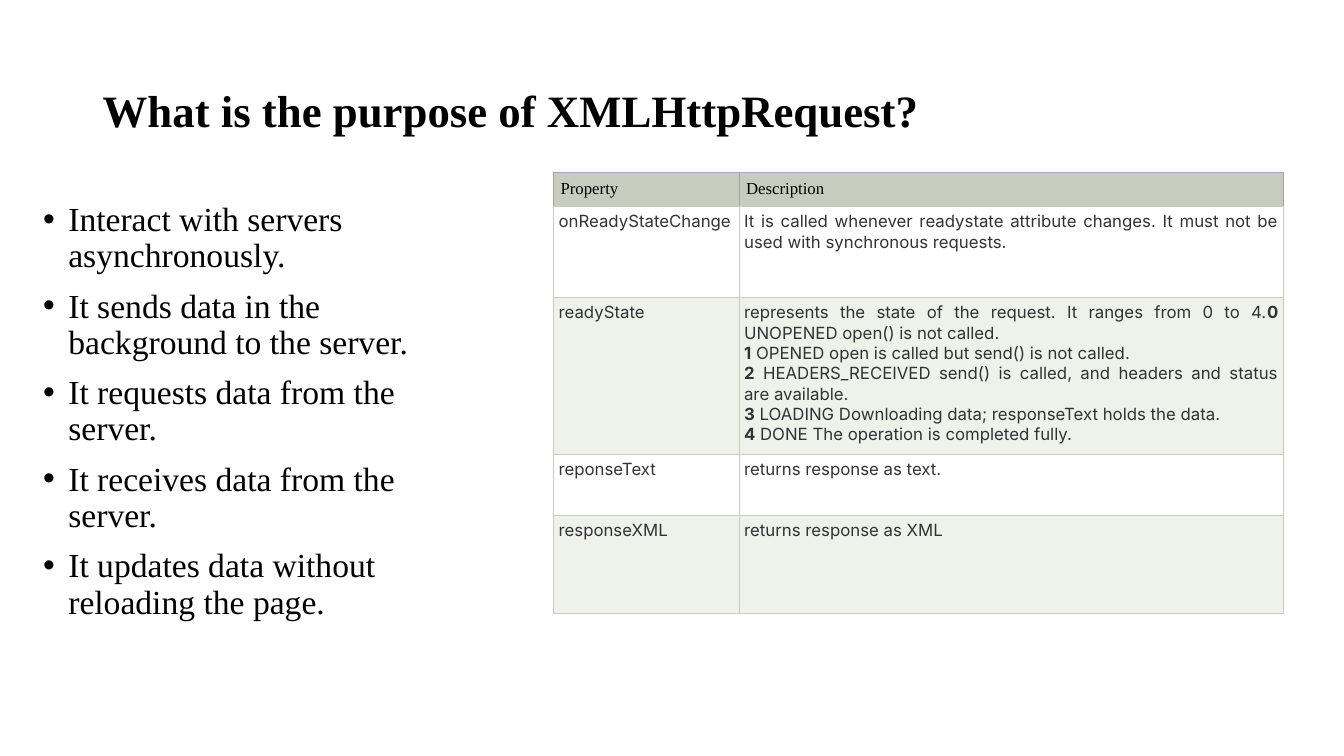
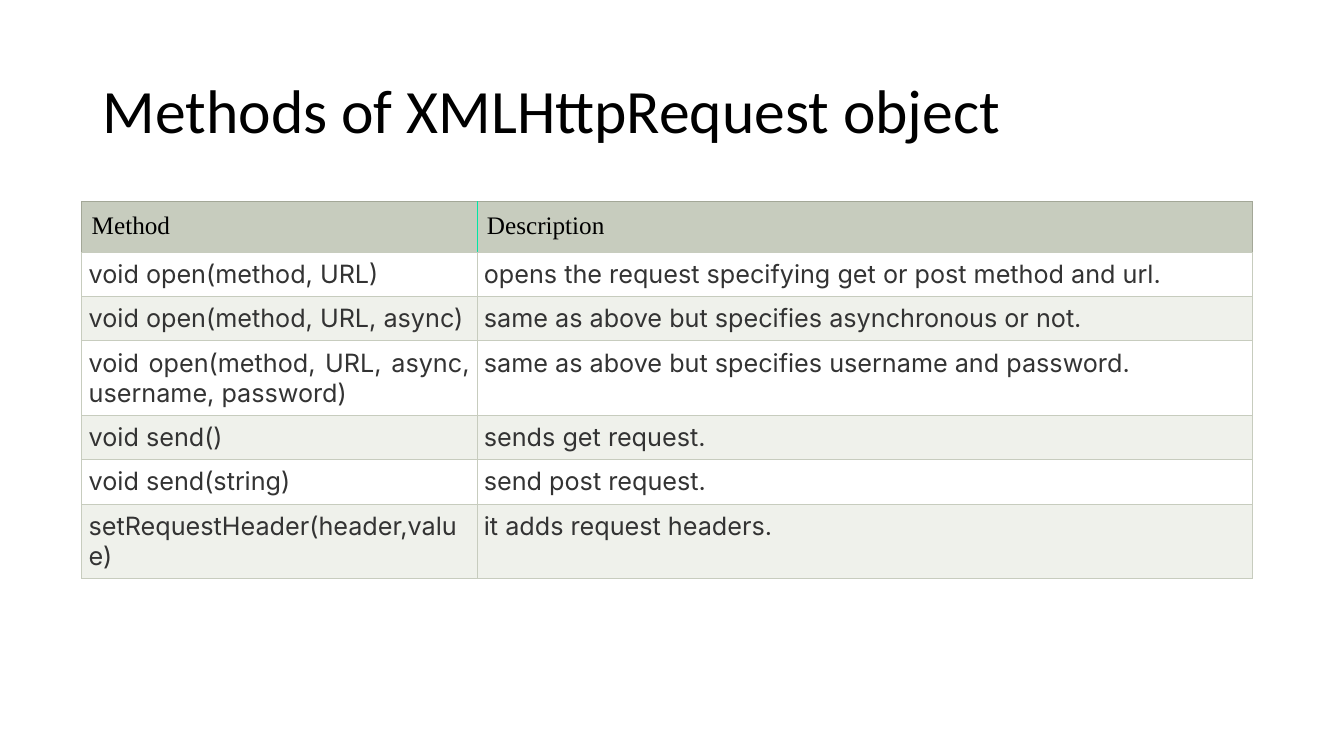
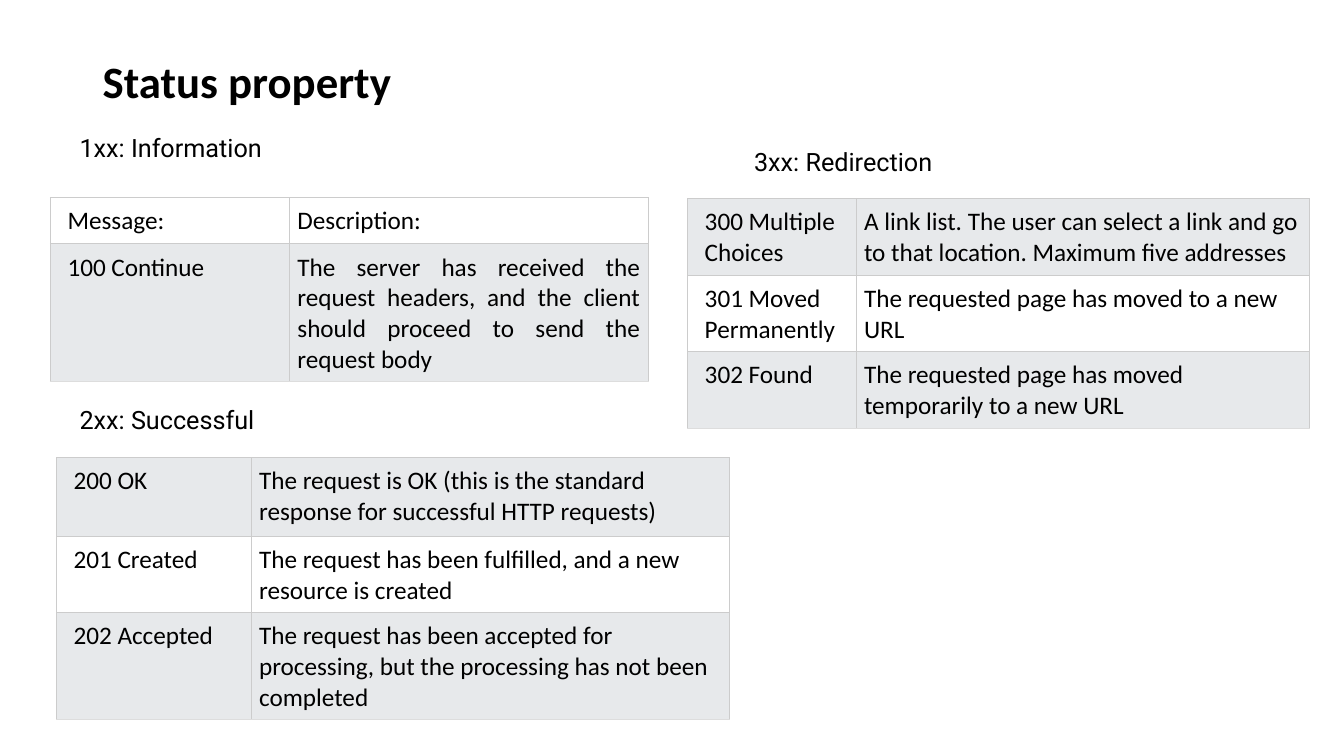
from dataclasses import dataclass, field
from typing import Optional

from lxml.etree import SubElement
from pptx import Presentation
from pptx.dml.color import RGBColor
from pptx.enum.text import MSO_ANCHOR, PP_ALIGN
from pptx.oxml import parse_xml
from pptx.oxml.ns import nsdecls, qn
from pptx.util import Inches, Pt

BLACK, WHITE, INK = "000000", "FFFFFF", "333333"
SAGE, PALE_SAGE, DARK_SAGE = "C7CCBE", "EFF1EB", "A3A797"
GREY, PALE_GREY, LIGHT_LINE = "E7E9EB", "DDDDDD", "CCCCCC"
PURPLE, TEAL = "C092FE", "00E5A6"
SERIF, SANS, INTER, ROBOTO = "Times New Roman", "Calibri", "Inter", "Roboto"


@dataclass(frozen=True)
class Box:
    left: float
    top: float
    width: float
    height: float

    def lengths(self):
        return [Inches(v) for v in (self.left, self.top, self.width, self.height)]


@dataclass(frozen=True)
class Header:
    labels: tuple[str, str]
    inset: float
    top: str = DARK_SAGE
    divider: str = DARK_SAGE


@dataclass(frozen=True)
class Grid:
    left: float
    top: float
    columns: tuple[float, float]
    heights: tuple[float, ...]
    rows: tuple[tuple[str, str], ...]
    size: int
    font: str
    color: str
    fills: tuple[str, str]
    inset: float
    line: str
    line_width: float
    first_inset: Optional[float] = None
    last_line: Optional[str] = None
    justify: bool = False
    header: Optional[Header] = None


@dataclass(frozen=True)
class Title:
    text: str
    size: int
    font: str = SANS
    bold: bool = False
    box: Box = field(default=Box(0.92, 0.4, 11.5, 1.45))


def rgb(color: str) -> RGBColor:
    return RGBColor.from_string(color)


def write(frame, text: str, *, size: int, font: str, color: str = BLACK, bold: bool = False,
          align=PP_ALIGN.LEFT, spacing: float = 1.0, before: int = 0,
          bullet: str = "") -> None:
    frame.word_wrap = True
    for number, line in enumerate(text.split("\n")):
        paragraph = frame.add_paragraph() if number else frame.paragraphs[0]
        paragraph.alignment = align
        paragraph.line_spacing = spacing
        paragraph.space_before = Pt(before)
        if bullet:
            properties = paragraph._p.get_or_add_pPr()
            properties.set("marL", str(Inches(0.25)))
            properties.set("indent", str(-Inches(0.25)))
            SubElement(properties, qn("a:buFont")).set("typeface", "Arial")
            SubElement(properties, qn("a:buChar")).set("char", bullet)
        for part, words in enumerate(line.split("*")):
            if not words:
                continue
            run = paragraph.add_run()
            run.text = words
            run.font.size = Pt(size)
            run.font.name = font
            run.font.bold = bold or part % 2 == 1
            run.font.color.rgb = rgb(color)


def add_text(slide, box: Box, text: str, anchor=MSO_ANCHOR.TOP, **style) -> None:
    frame = slide.shapes.add_textbox(*box.lengths()).text_frame
    frame.vertical_anchor = anchor
    write(frame, text, **style)


def add_title(slide, title: Title) -> None:
    add_text(slide, title.box, title.text, MSO_ANCHOR.MIDDLE, size=title.size,
             font=title.font, bold=title.bold, spacing=0.9)


def set_borders(cell, width: float, colors: dict[str, str]) -> None:
    properties = cell._tc.get_or_add_tcPr()
    for place, side in enumerate("LRTB"):
        properties.insert(place, parse_xml(
            f'<a:ln{side} {nsdecls("a")} w="{Pt(width)}"><a:solidFill>'
            f'<a:srgbClr val="{colors[side]}"/></a:solidFill></a:ln{side}>'))


def fill_cell(cell, text: str, fill: str, inset: float, left_inset: float, **style) -> None:
    cell.fill.solid()
    cell.fill.fore_color.rgb = rgb(fill)
    cell.margin_left = Inches(left_inset)
    cell.margin_right = cell.margin_top = cell.margin_bottom = Inches(inset)
    write(cell.text_frame, text, **style)


def add_grid(slide, grid: Grid) -> None:
    box = Box(grid.left, grid.top, sum(grid.columns), sum(grid.heights))
    table = slide.shapes.add_table(len(grid.heights), 2, *box.lengths()).table
    table.first_row = table.horz_banding = False
    for column, width in zip(table.columns, grid.columns):
        column.width = Inches(width)
    for row, height in zip(table.rows, grid.heights):
        row.height = Inches(height)

    offset = 0
    if grid.header:
        offset = 1
        head = grid.header
        for column, label in enumerate(head.labels):
            cell = table.cell(0, column)
            fill_cell(cell, label, SAGE, head.inset, head.inset, size=grid.size, font=SERIF)
            set_borders(cell, grid.line_width, {
                "L": head.divider if column else DARK_SAGE,
                "R": DARK_SAGE if column else head.divider,
                "T": head.top, "B": grid.line})

    align = PP_ALIGN.JUSTIFY if grid.justify else PP_ALIGN.LEFT
    for number, texts in enumerate(grid.rows):
        last = number == len(grid.rows) - 1
        bottom = grid.last_line if last and grid.last_line else grid.line
        for column, text in enumerate(texts):
            cell = table.cell(number + offset, column)
            left_inset = grid.inset if column else grid.first_inset or grid.inset
            fill_cell(cell, text, grid.fills[number % 2], grid.inset, left_inset,
                      size=grid.size, font=grid.font, color=grid.color, align=align)
            set_borders(cell, grid.line_width, dict.fromkeys("LRT", grid.line) | {"B": bottom})


SAGE_STYLE = dict(font=INTER, color=INK, fills=(WHITE, PALE_SAGE), line=SAGE,
                  line_width=0.6, justify=True)
STATUS_STYLE = dict(size=18, font=SANS, color=BLACK, inset=0.08, first_inset=0.17,
                    line=LIGHT_LINE, line_width=0.75, last_line=PALE_GREY)

PURPOSES = """Interact with servers asynchronously.
It sends data in the background to the server.
It requests data from the server.
It receives data from the server.
It updates data without reloading the page."""

READY_STATES = """represents the state of the request. It ranges from 0 to 4.*0* UNOPENED open() is not called.
*1* OPENED open is called but send() is not called.
*2* HEADERS_RECEIVED send() is called, and headers and status are available.
*3* LOADING Downloading data; responseText holds the data.
*4* DONE The operation is completed fully."""

PROPERTIES = Grid(
    5.49, 1.71, (1.84, 5.4), (0.34, 0.9, 1.56, 0.6, 0.98),
    (("onReadyStateChange", "It is called whenever readystate attribute changes. "
      "It must not be used with synchronous requests."),
     ("readyState", READY_STATES),
     ("reponseText", "returns response as text."),
     ("responseXML", "returns response as XML")),
    size=12, inset=0.05, header=Header(("Property", "Description"), 0.07, top=PURPLE),
    **SAGE_STYLE)

METHODS = Grid(
    0.81, 2, (3.92, 7.69), (0.47, 0.43, 0.43, 0.73, 0.43, 0.43, 0.73),
    (("void open(method, URL)", "opens the request specifying get or post method and url."),
     ("void open(method, URL, async)", "same as above but specifies asynchronous or not."),
     ("void open(method, URL, async, username, password)",
      "same as above but specifies username and password."),
     ("void send()", "sends get request."),
     ("void send(string)", "send post request."),
     ("setRequestHeader(header,value)", "it adds request headers.")),
    size=18, inset=0.07, header=Header(("Method", "Description"), 0.1, divider=TEAL),
    **SAGE_STYLE)

INFORMATION = Grid(
    0.5, 1.96, (2.37, 3.56), (0.46, 1.36),
    (("Message:", "Description:"),
     ("100 Continue", "The server has received the request headers, and the client "
      "should proceed to send the request body")),
    fills=(WHITE, GREY), justify=True, **STATUS_STYLE)

SUCCESSFUL = Grid(
    0.56, 4.54, (1.93, 4.75), (0.78, 0.76, 1.06),
    (("200 OK", "The request is OK (this is the standard response for successful HTTP requests)"),
     ("201 Created", "The request has been fulfilled, and a new resource is created"),
     ("202 Accepted", "The request has been accepted for processing, but the processing "
      "has not been completed")),
    fills=(GREY, WHITE), **STATUS_STYLE)

REDIRECTION = Grid(
    6.82, 1.97, (1.67, 4.5), (0.76,) * 3,
    (("300 Multiple Choices", "A link list. The user can select a link and go to that "
      "location. Maximum five addresses"),
     ("301 Moved Permanently", "The requested page has moved to a new URL"),
     ("302 Found", "The requested page has moved temporarily to a new URL")),
    fills=(GREY, WHITE), **STATUS_STYLE)

STATUS_GROUPS = (
    ("1xx: Information", Box(0.69, 1.26, 2.65, 0.4), INFORMATION),
    ("2xx: Successful", Box(0.69, 3.96, 2.75, 0.4), SUCCESSFUL),
    ("3xx: Redirection", Box(7.38, 1.4, 2.65, 0.4), REDIRECTION),
)


def build_purpose(slide) -> None:
    add_title(slide, Title("What is the purpose of XMLHttpRequest?", 32, SERIF, True))
    add_text(slide, Box(0.33, 1.96, 4.57, 4.76), PURPOSES, size=24, font=SERIF,
             spacing=0.9, before=10, bullet="•")
    add_grid(slide, PROPERTIES)


def build_methods(slide) -> None:
    add_title(slide, Title("Methods of XMLHttpRequest object", 44))
    add_grid(slide, METHODS)


def build_status(slide) -> None:
    add_title(slide, Title("Status property", 32, bold=True, box=Box(0.92, 0.4, 11.5, 0.87)))
    for label, box, grid in STATUS_GROUPS:
        add_text(slide, box, label, size=18, font=ROBOTO)
        add_grid(slide, grid)


def main() -> None:
    deck = Presentation()
    deck.slide_width, deck.slide_height = Inches(13.33), Inches(7.5)
    for build in (build_purpose, build_methods, build_status):
        build(deck.slides.add_slide(deck.slide_layouts[6]))
    deck.save("out.pptx")


if __name__ == "__main__":
    main()
